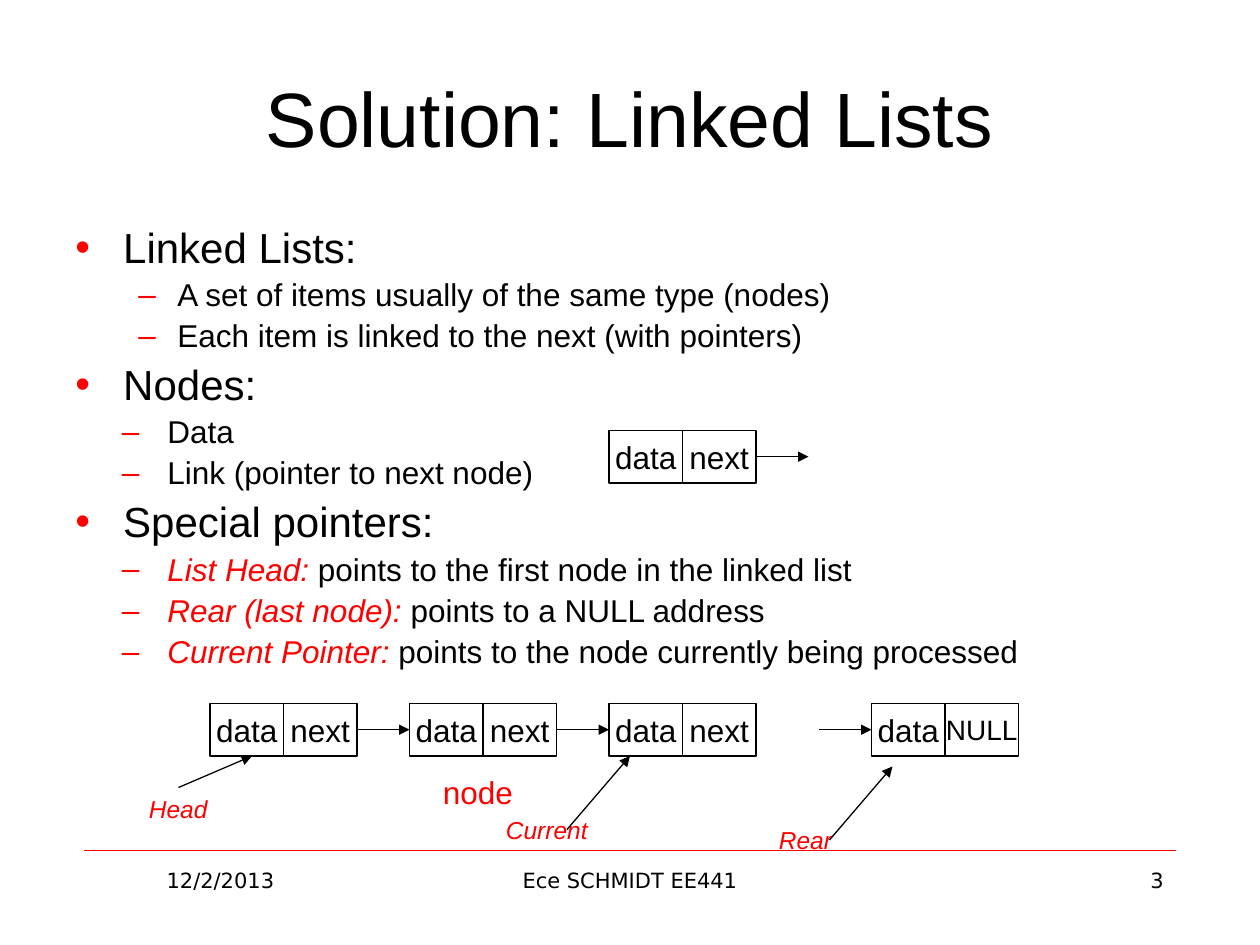
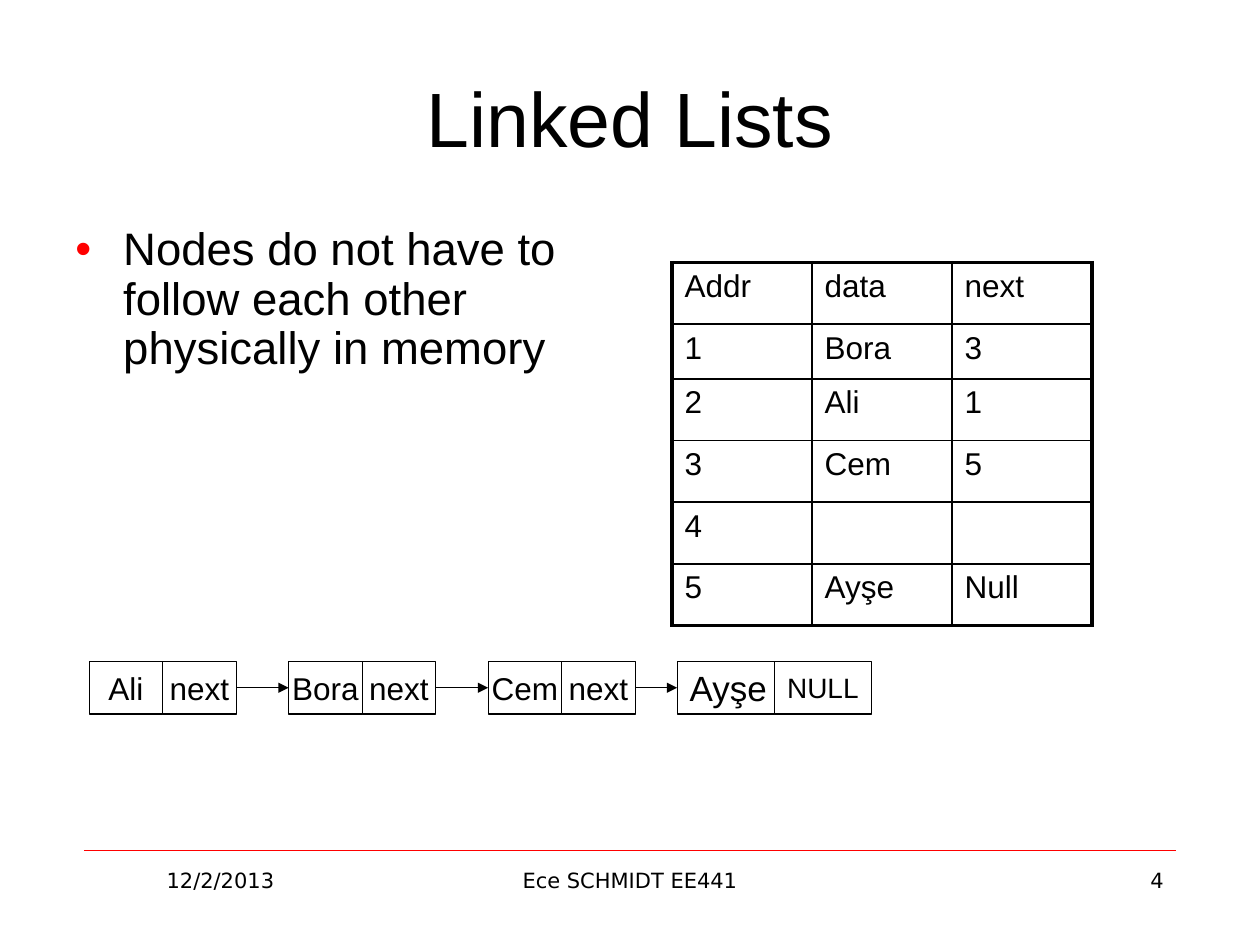
from lxml.etree import SubElement
from pptx import Presentation
from pptx.dml.color import RGBColor
from pptx.enum.shapes import MSO_CONNECTOR, MSO_SHAPE
from pptx.enum.text import MSO_ANCHOR as Anchor, PP_ALIGN as Align
from pptx.oxml.ns import qn
from pptx.util import Inches, Pt

rgb = RGBColor.from_string
BLACK, RED = "000000", "FF0000"
BODY_FONT, FOOTER_FONT = "Arial", "DejaVu Sans"

deck = Presentation()
deck.slide_width, deck.slide_height = Inches(10), Inches(7.5)
UNIT = deck.slide_width / 120  # the slide is a grid of 120 columns by 90 rows
CELL_WIDTH, CELL_HEIGHT = 7, 5  # one half of a list node
NODE_PITCH = 19


def add_run(paragraph, text, size, color=BLACK, italic=False, font=BODY_FONT):
    """Append one formatted run to a paragraph."""
    run = paragraph.add_run()
    run.text = text
    run.font.size, run.font.name, run.font.italic = Pt(size), font, italic
    run.font.color.rgb = rgb(color)


def add_line(slide, start, end, color=BLACK, width=0.75, arrow=True):
    """Draw a line between two grid points, with an arrowhead at its end."""
    points = [round(value * UNIT) for value in (*start, *end)]
    line = slide.shapes.add_connector(MSO_CONNECTOR.STRAIGHT, *points)
    line.line.color.rgb, line.line.width = rgb(color), Pt(width)
    if arrow:
        SubElement(line.line._get_or_add_ln(), qn("a:tailEnd"), type="triangle")
    SubElement(line._element.spPr, qn("a:effectLst"))


# Bullet kinds: mark, text indent and hanging indent in inches
TOPIC, WIDE_ITEM, ITEM = ("•", 0.38, 0.38), ("–", 0.81, 0.31), ("–", 0.73, 0.36)

# Bullets: kind, size, red lead-in, text
# Nodes: column, row, cell width, (data, size), (next, size)
# Labels: text, column, row, size, italic
pages = [
    dict(
        number=3, title="Solution: Linked Lists", body=(6, 21, 108, 45),
        bullets=[
            (TOPIC, 24, "", "Linked Lists:"),
            (WIDE_ITEM, 18, "", "A set of items usually of the same type (nodes)"),
            (WIDE_ITEM, 18, "", "Each item is linked to the next (with pointers)"),
            (TOPIC, 24, "", "Nodes:"),
            (ITEM, 18, "", "Data"),
            (ITEM, 18, "", "Link (pointer to next node)"),
            (TOPIC, 24, "", "Special pointers:"),
            (ITEM, 18, "List Head:", " points to the first node in the linked list"),
            (ITEM, 18, "Rear (last node):", " points to a NULL address"),
            (ITEM, 18, "Current Pointer:", " points to the node currently being processed"),
        ],
        nodes=[(20 + NODE_PITCH * i, 67, CELL_WIDTH, ("data", 18), ("next", 18))
               for i in range(3)]
        + [(83, 67, CELL_WIDTH, ("data", 18), ("NULL", 16)),
           (58, 41, CELL_WIDTH, ("data", 18), ("next", 18))],
        arrows=[((34, 69.5), (39, 69.5)), ((53, 69.5), (58, 69.5)),
                ((78, 69.5), (83, 69.5)), ((72, 43.5), (77, 43.5)),
                ((17, 75), (24, 72)), ((54, 79), (60, 72)), ((79, 80), (85, 73))],
        labels=[("node", 41, 73, 18, False), ("Head", 13, 75, 14, True),
                ("Current", 47, 77, 14, True), ("Rear", 73, 78, 14, True)],
        memory=[],
    ),
    dict(
        number=4, title="Linked Lists", body=(6, 21, 55, 59.4),
        bullets=[(TOPIC, 26, "",
                  "Nodes do not have to follow each other physically in memory")],
        nodes=[(8.5 + NODE_PITCH * i, 63, CELL_WIDTH, (name, 18), ("next", 18))
               for i, name in enumerate(["Ali", "Bora", "Cem"])]
        + [(64.5, 63, 9.25, ("Ayşe", 20), ("NULL", 16))],
        arrows=[((22.5, 65.5), (27.5, 65.5)), ((41.5, 65.5), (46.5, 65.5)),
                ((60.5, 65.5), (64.5, 65.5))],
        labels=[],
        memory=[("Addr", "data", "next"), ("1", "Bora", "3"), ("2", "Ali", "1"),
                ("3", "Cem", "5"), ("4", "", ""), ("5", "Ayşe", "Null")],
    ),
]

for page in pages:
    slide = deck.slides.add_slide(deck.slide_layouts[6])
    add_line(slide, (8, 81), (112, 81), RED, 0.25, arrow=False)

    # Title, footer and pointer labels
    captions = [
        (page["title"], (6, 3.6, 108, 15), Align.CENTER, Anchor.MIDDLE, (44,)),
    ]
    for text, column, width, align in [
        ("12/2/2013", 8, 26, Align.CENTER),
        ("Ece SCHMIDT EE441", 41, 38, Align.CENTER),
        (str(page["number"]), 86, 26, Align.RIGHT),
    ]:
        captions.append((text, (column, 82, width, 6.2), align, Anchor.TOP,
                         (12, BLACK, False, FOOTER_FONT)))
    for text, column, row, size, italic in page["labels"]:
        captions.append((text, (column, row, 11, 4), Align.LEFT, Anchor.TOP,
                         (size, RED, italic)))
    for text, box, align, anchor, style in captions:
        frame = slide.shapes.add_textbox(*[round(v * UNIT) for v in box]).text_frame
        frame.word_wrap, frame.vertical_anchor = True, anchor
        frame.paragraphs[0].alignment = align
        add_run(frame.paragraphs[0], text, *style)

    # Bulleted body
    body = slide.shapes.add_textbox(*[round(v * UNIT) for v in page["body"]]).text_frame
    body.word_wrap = True
    for i, ((mark, indent, hanging), size, lead, text) in enumerate(page["bullets"]):
        paragraph = body.add_paragraph() if i else body.paragraphs[0]
        paragraph.line_spacing = 0.9
        paragraph.space_before = Pt(round(size * 0.23, 1))
        properties = paragraph._p.get_or_add_pPr()
        properties.set("marL", str(Inches(indent)))
        properties.set("indent", str(-Inches(hanging)))
        bullet_color = SubElement(properties, qn("a:buClr"))
        SubElement(bullet_color, qn("a:srgbClr"), val=RED)
        SubElement(properties, qn("a:buFont"), typeface=BODY_FONT)
        SubElement(properties, qn("a:buChar"), char=mark)
        if lead:
            add_run(paragraph, lead, size, RED, italic=True)
        add_run(paragraph, text, size)

    # Memory table with a heavy frame
    if page["memory"]:
        rows, columns = len(page["memory"]), len(page["memory"][0])
        row_heights = [5.2 if r == 1 else 5.88 for r in range(rows)]
        area = (64, 25, 40, sum(row_heights))
        memory = slide.shapes.add_table(
            rows, columns, *[round(v * UNIT) for v in area]).table
        memory.first_row = memory.horz_banding = False
        for r, record in enumerate(page["memory"]):
            memory.rows[r].height = round(row_heights[r] * UNIT)
            for c, value in enumerate(record):
                cell = memory.cell(r, c)
                if value:
                    add_run(cell.text_frame.paragraphs[0], value, 18)
                edges = {"a:lnL": c == 0, "a:lnR": c == columns - 1,
                         "a:lnT": r == 0, "a:lnB": r == rows - 1}
                for edge, outer in edges.items():
                    border = SubElement(cell._tc.get_or_add_tcPr(), qn(edge),
                                        w=str(Pt(2.25 if outer else 1)))
                    ink = SubElement(border, qn("a:solidFill"))
                    SubElement(ink, qn("a:srgbClr"), val=BLACK)
                cell.fill.background()

    # List nodes, each a data cell and a link cell
    for column, row, width, *fields in page["nodes"]:
        for i, (text, size) in enumerate(fields):
            box = (column + i * width, row, width, CELL_HEIGHT)
            field = slide.shapes.add_shape(
                MSO_SHAPE.RECTANGLE, *[round(v * UNIT) for v in box])
            field.shadow.inherit = False
            field.fill.background()
            field.line.color.rgb, field.line.width = rgb(BLACK), Pt(0.75)
            frame = field.text_frame
            frame.word_wrap, frame.vertical_anchor = False, Anchor.MIDDLE
            frame.paragraphs[0].alignment = Align.LEFT if size == 20 else Align.CENTER
            add_run(frame.paragraphs[0], text, size)
    for start, end in page["arrows"]:
        add_line(slide, start, end)

deck.save("out.pptx")
